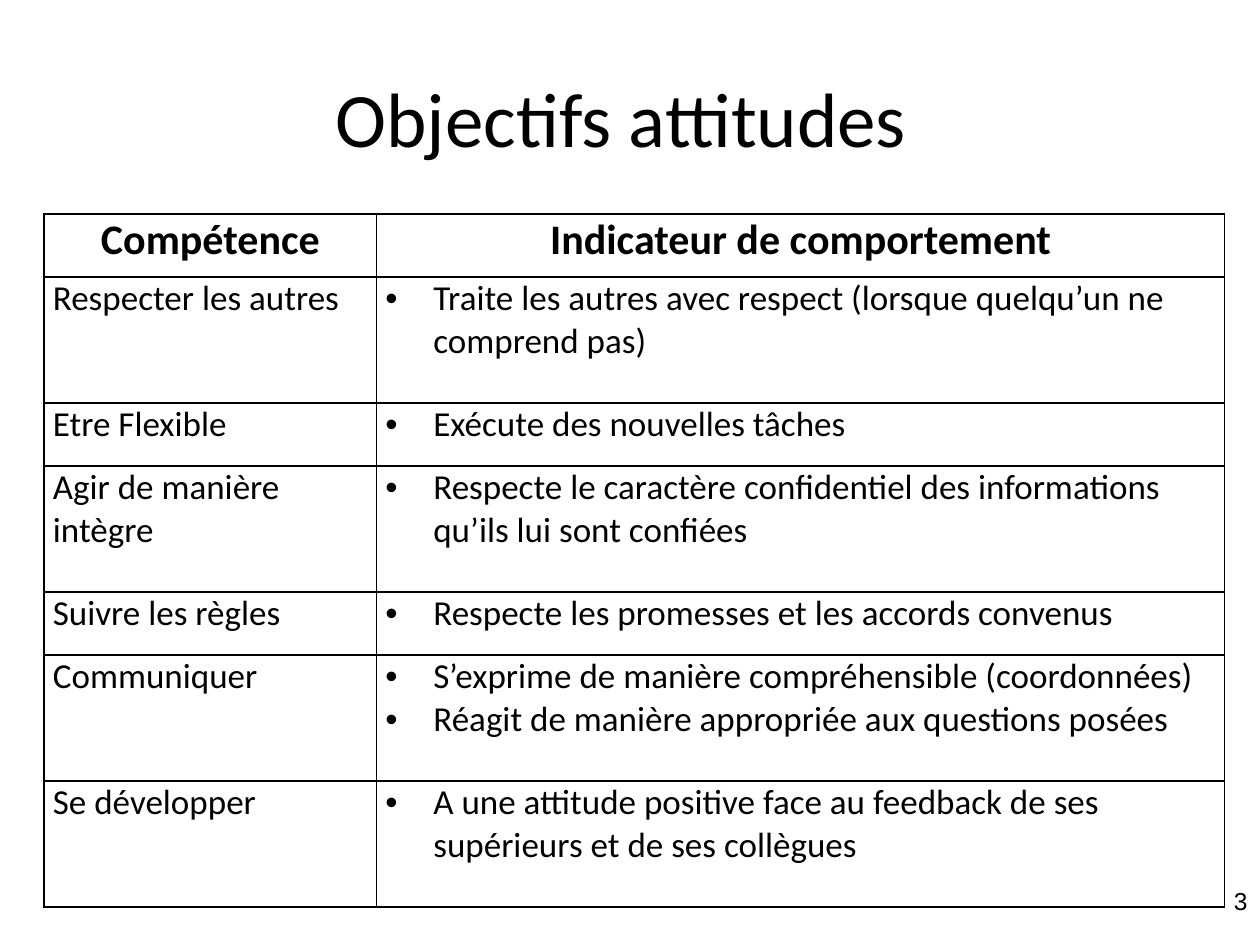
from dataclasses import dataclass
from typing import NamedTuple

from lxml import etree
from pptx import Presentation
from pptx import util as u
from pptx.dml import color
from pptx.enum import text
from pptx.oxml import ns

EMU_PER_PX = 9144  # 100 px to the inch


@dataclass(frozen=True)
class Theme:
    ink: str = "000000"
    paper: str = "FFFFFF"
    body_font: str = "Calibri"
    number_font: str = "Arial"
    title_size: int = 44
    header_size: int = 24
    body_size: int = 20
    number_size: int = 14
    border_width: int = 1


class Area(NamedTuple):
    left: int
    top: int
    width: int
    height: int


@dataclass(frozen=True)
class Skill:
    name: str
    indicators: tuple[str, ...]
    height: int


THEME = Theme()
COLUMN_WIDTHS = (264, 673)
HEADERS = ("Compétence", "Indicateur de comportement")
SHORT_ROW, TALL_ROW = 50, 100
BULLET_INDENT = 38
CELL_INSET = 7

SKILLS = (
    Skill("Respecter les autres",
          ("Traite les autres avec respect (lorsque quelqu’un ne comprend pas)",),
          TALL_ROW),
    Skill("Etre Flexible", ("Exécute des nouvelles tâches",), SHORT_ROW),
    Skill("Agir de manière intègre",
          ("Respecte le caractère confidentiel des informations qu’ils lui sont confiées",),
          TALL_ROW),
    Skill("Suivre les règles",
          ("Respecte les promesses et les accords convenus",), SHORT_ROW),
    Skill("Communiquer",
          ("S’exprime de manière compréhensible (coordonnées)",
           "Réagit de manière appropriée aux questions posées"), TALL_ROW),
    Skill("Se développer",
          ("A une attitude positive face au feedback de ses supérieurs et de ses collègues",),
          TALL_ROW),
)


def px(length: int) -> u.Emu:
    return u.Emu(length * EMU_PER_PX)


def style_para(para, size: int, align, font: str = THEME.body_font,
               bold: bool = False) -> None:
    para.alignment = align
    for span in para.runs:
        span.font.name = font
        span.font.size = u.Pt(size)
        span.font.bold = bold
        span.font.color.rgb = color.RGBColor.from_string(THEME.ink)


def add_text(page, area: Area, words: str, size: int, align, anchor,
             font: str = THEME.body_font) -> None:
    frame = page.shapes.add_textbox(*map(px, area)).text_frame
    frame.word_wrap = True
    frame.vertical_anchor = anchor
    frame.text = words
    style_para(frame.paragraphs[0], size, align, font)


def add_bullet(para) -> None:
    properties = para._p.get_or_add_pPr()
    properties.set("marL", str(px(BULLET_INDENT)))
    properties.set("indent", str(-px(BULLET_INDENT)))
    etree.SubElement(properties, ns.qn("a:buFont"), typeface="Arial")
    etree.SubElement(properties, ns.qn("a:buChar"), char="•")


def set_borders(cell) -> None:
    properties = cell._tc.get_or_add_tcPr()
    for position, side in enumerate(("lnL", "lnR", "lnT", "lnB")):
        line = etree.Element(ns.qn(f"a:{side}"), w=str(u.Pt(THEME.border_width)))
        fill = etree.SubElement(line, ns.qn("a:solidFill"))
        etree.SubElement(fill, ns.qn("a:srgbClr"), val=THEME.ink)
        properties.insert(position, line)


def fill_cell(cell, lines: tuple[str, ...], size: int, align,
              bold: bool = False, bulleted: bool = False) -> None:
    cell.margin_left = cell.margin_right = px(CELL_INSET)
    cell.margin_top = cell.margin_bottom = 0
    cell.fill.solid()
    cell.fill.fore_color.rgb = color.RGBColor.from_string(THEME.paper)
    set_borders(cell)
    cell.text_frame.text = "\n".join(lines)
    for para in cell.text_frame.paragraphs:
        if bulleted:
            add_bullet(para)
        style_para(para, size, align, bold=bold)


def add_skill_table(page, left: int, top: int) -> None:
    heights = [SHORT_ROW] + [skill.height for skill in SKILLS]
    area = Area(left, top, sum(COLUMN_WIDTHS), sum(heights))
    table = page.shapes.add_table(
        len(heights), len(COLUMN_WIDTHS), *map(px, area)).table
    for column, width in zip(table.columns, COLUMN_WIDTHS):
        column.width = px(width)
    for row, height in zip(table.rows, heights):
        row.height = px(height)

    for index, header in enumerate(HEADERS):
        fill_cell(table.cell(0, index), (header,), THEME.header_size,
                  text.PP_ALIGN.CENTER, bold=True)
    for index, skill in enumerate(SKILLS, start=1):
        fill_cell(table.cell(index, 0), (skill.name,), THEME.body_size,
                  text.PP_ALIGN.LEFT)
        fill_cell(table.cell(index, 1), skill.indicators, THEME.body_size,
                  text.PP_ALIGN.LEFT, bulleted=True)


def main() -> None:
    deck = Presentation()
    deck.slide_width, deck.slide_height = px(1000), px(750)
    page = deck.slides.add_slide(deck.slide_layouts[6])

    # Page number and title
    add_text(page, Area(767, 698, 233, 52), "3", THEME.number_size,
             text.PP_ALIGN.RIGHT, text.MSO_ANCHOR.TOP, THEME.number_font)
    add_text(page, Area(50, 30, 900, 125), "Objectifs attitudes ",
             THEME.title_size, text.PP_ALIGN.CENTER, text.MSO_ANCHOR.MIDDLE)

    # Skills and their indicators
    add_skill_table(page, left=35, top=170)

    deck.save("out.pptx")


if __name__ == "__main__":
    main()
